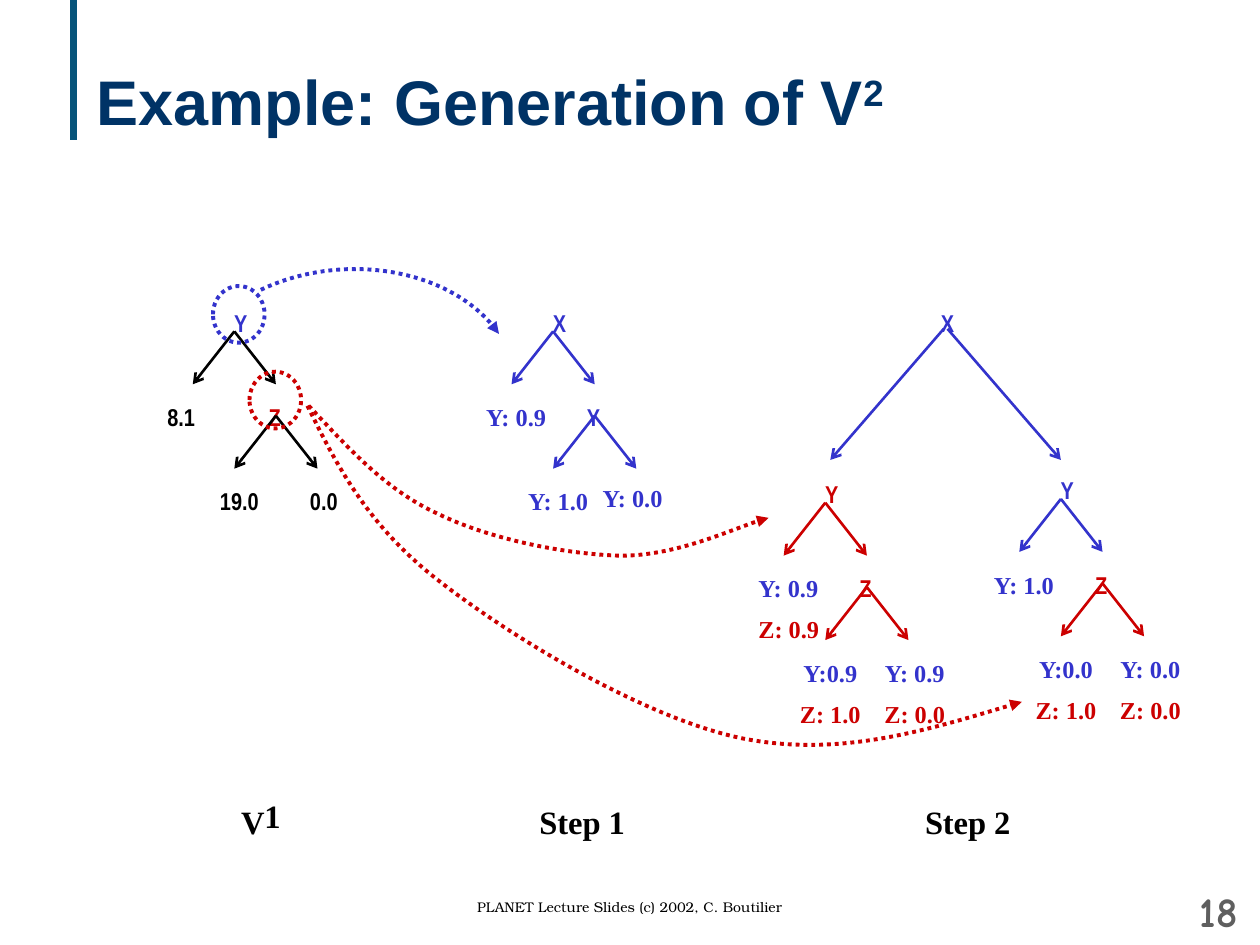
from pptx import Presentation
from pptx.dml.color import RGBColor
from pptx.enum.dml import MSO_LINE
from pptx.enum.shapes import MSO_CONNECTOR, MSO_SHAPE
from pptx.enum.text import MSO_ANCHOR, MSO_AUTO_SIZE, PP_ALIGN
from pptx.oxml.ns import qn
from pptx.util import Inches, Pt
from lxml.etree import SubElement

COLORS = {"bar": "07547A", "title": "003366", "blue": "3333CC", "red": "CC0000",
          "black": "000000", "gray": "5F5F5F"}
NARROW, SERIF = "Arial Narrow", "Times New Roman"
SPREAD, DROP = 0.33, 0.42       # half width and height of a small fork
CHILD_X, CHILD_Y = 0.33, 0.67   # from the root of a small tree to its inner node


def color(name):
    return RGBColor.from_string(COLORS[name])


def add_text(page, box, lines, size=24, font=NARROW, align=PP_ALIGN.CENTER,
             bold=True, anchor=MSO_ANCHOR.TOP, wrap=False):
    """Each line is a list of (text, colour, baseline percent) spans."""
    shape = page.shapes.add_textbox(*map(Inches, box))
    frame = shape.text_frame
    frame.word_wrap = wrap
    frame.auto_size = MSO_AUTO_SIZE.NONE if wrap else MSO_AUTO_SIZE.SHAPE_TO_FIT_TEXT
    frame.vertical_anchor = anchor
    for index, spans in enumerate(lines):
        para = frame.add_paragraph() if index else frame.paragraphs[0]
        para.alignment = align
        if index:
            para.line_spacing = 0.8
        for text, tint, baseline in spans:
            span = para.add_run()
            span.text = text
            span.font.name, span.font.size, span.font.bold = font, Pt(size), bold
            span.font.color.rgb = color(tint)
            if baseline:
                span.font._element.set("baseline", str(baseline * 1000))


def style_line(shape, tint, width, head=None, dotted=False):
    shape.line.color.rgb = color(tint)
    shape.line.width = Pt(width)
    if dotted:
        shape.line.dash_style = MSO_LINE.ROUND_DOT
    if head:
        SubElement(shape.line._get_or_add_ln(), qn("a:tailEnd"), type=head)


def add_line(page, start, end, tint, width=1.5, head="arrow"):
    line = page.shapes.add_connector(MSO_CONNECTOR.STRAIGHT, *map(Inches, (*start, *end)))
    style_line(line, tint, width, head)
    SubElement(line._element.spPr, qn("a:effectLst"))


def add_curve(page, points, tint):
    """Dotted Bezier arrow: a start point, then three points for each segment."""
    points = [(Inches(x), Inches(y)) for x, y in points]
    builder = page.shapes.build_freeform(*points[0])
    builder.add_line_segments(points[1:], close=False)
    shape = builder.convert_to_shape()
    shape.shadow.inherit = False
    shape.fill.background()
    style_line(shape, tint, 2.25, "triangle", dotted=True)
    # Join every three straight steps into one cubic segment
    steps = list(shape._element.iter(qn("a:lnTo")))
    for first in range(0, len(steps), 3):
        cubic = SubElement(steps[first].getparent(), qn("a:cubicBezTo"))
        for step in steps[first:first + 3]:
            cubic.append(step[0])
            step.getparent().remove(step)


def add_ring(page, left, top, tint):
    ring = page.shapes.add_shape(MSO_SHAPE.OVAL, *map(Inches, (left, top, 0.41, 0.45)))
    ring.shadow.inherit = False
    ring.fill.background()
    style_line(ring, tint, 2.25, dotted=True)


def add_node(page, center, top, name, tint):
    add_text(page, (center - 0.15, top, 0.3, 0.5), [[(name, tint, 14)]])


def add_leaf(page, center, top, lines, width, font, align=PP_ALIGN.CENTER):
    height = 0.5 if len(lines) == 1 else 0.82
    spans = [[(text, tint, 14)] for text, tint in lines]
    add_text(page, (center - width / 2, top, width, height), spans, font=font, align=align)


def add_fork(page, x, y, tint):
    for side in (-SPREAD, SPREAD):
        add_line(page, (x, y), (x + side, y + DROP), tint)


def add_tree(page, x, y, root, child, forks, leaves, widths=(0.69,) * 3, font=SERIF,
             last=(0.71, 1.09)):
    """Small tree with its root fork at (x, y); leaves are outer, inner left, inner right."""
    add_node(page, x + 0.05, y - 0.33, *root)
    add_node(page, x + 0.32, y + DROP, *child)
    add_fork(page, x, y, forks[0])
    add_fork(page, x + CHILD_X, y + CHILD_Y, forks[1])
    outer, left, right = leaves
    add_leaf(page, x - 0.63 + widths[0] / 2, y + DROP, outer, widths[0], font, PP_ALIGN.LEFT)
    add_leaf(page, x + 0.04, y + 1.09, left, widths[1], font)
    add_leaf(page, x + last[0], y + last[1], right, widths[2], font)


def add_heading(page):
    add_line(page, (0.58, 0), (0.58, 1.11), "bar", 4, None)
    add_text(page, (0.67, 0.17, 8.92, 1.25),
             [[("Example: Generation of V", "title", 0), ("2", "title", 30)]], size=36,
             font="Arial", align=PP_ALIGN.LEFT, anchor=MSO_ANCHOR.MIDDLE, wrap=True)


def add_first_value(page, x, y):
    add_tree(page, x, y, ("Y", "blue"), ("Z", "red"), ("black", "black"),
             [[(value, "black")] for value in ("8.1", "19.0", "0.0")],
             widths=(0.42, 0.51, 0.42), font=NARROW)
    add_ring(page, x - 0.17, y - 0.36, "blue")
    add_ring(page, x + 0.12, y + 0.32, "red")


def add_step_one(page, x, y):
    add_tree(page, x, y, ("X", "blue"), ("Y", "blue"), ("blue", "blue"),
             [[(value, "blue")] for value in ("Y: 0.9", "Y: 1.0", "Y: 0.0")],
             last=(0.63, 1.06))


def add_step_two(page, x, y):
    add_node(page, x, y - 0.31, "X", "blue")
    for start, end in ((-0.03, -0.93), (0, 0.9)):
        add_line(page, (x + start, y), (x + end, y + 1.04), "blue")
    add_tree(page, x - 0.97, y + 1.38, ("Y", "red"), ("Z", "red"), ("red", "red"),
             [[("Y: 0.9", "blue"), ("Z: 0.9", "red")],
              [("Y:0.9", "blue"), ("Z: 1.0", "red")],
              [("Y: 0.9", "blue"), ("Z: 0.0", "red")]])
    add_tree(page, x + 0.9, y + 1.35, ("Y", "blue"), ("Z", "red"), ("blue", "red"),
             [[("Y: 1.0", "blue")],
              [("Y:0.0", "blue"), ("Z: 1.0", "red")],
              [("Y: 0.0", "blue"), ("Z: 0.0", "red")]])


def add_links(page):
    add_curve(page, [(2.07, 2.3), (2.7, 2.0), (3.6, 2.13), (3.96, 2.65)], "blue")
    add_curve(page, [(2.45, 3.22), (2.76, 3.55), (3.06, 3.89), (3.48, 4.08), (3.89, 4.28),
                     (4.49, 4.4), (4.93, 4.41), (5.36, 4.41), (5.9, 4.16), (6.1, 4.11)], "red")
    add_curve(page, [(2.44, 3.22), (2.68, 3.71), (2.93, 4.19), (3.51, 4.63), (4.08, 5.07),
                     (5.12, 5.7), (5.89, 5.86), (6.65, 6.01), (7.38, 5.79), (8.11, 5.57)], "red")


def add_captions(page, top):
    captions = [(2.07, 0.7, [("V", "black", 14), ("1", "black", 24)]),
                (4.62, 0.88, [("Step 1", "black", 14)]),
                (7.68, 0.88, [("Step 2", "black", 14)])]
    for center, width, spans in captions:
        add_text(page, (center - width / 2, top, width, 0.64), [spans], size=32, font=SERIF)


def add_footer(page):
    add_text(page, (2.75, 7.08, 4.5, 0.25),
             [[("PLANET Lecture Slides (c) 2002, C. Boutilier", "black", 0)]],
             size=8, font="TeX Gyre Bonum", bold=False, wrap=True)
    add_text(page, (9.2, 7.03, 0.72, 0.4), [[("18", "gray", 0)]], font="Comic Neue",
             align=PP_ALIGN.RIGHT, anchor=MSO_ANCHOR.MIDDLE, wrap=True)


def main():
    deck = Presentation()
    deck.slide_width, deck.slide_height = Inches(10), Inches(7.5)
    page = deck.slides.add_slide(deck.slide_layouts[6])
    add_heading(page)
    # Value trees, left to right
    add_first_value(page, 1.86, 2.63)
    add_step_one(page, 4.39, 2.63)
    add_step_two(page, 7.52, 2.61)
    # Dotted arrows from each variable to where it is expanded
    add_links(page)
    add_captions(page, 6.19)
    add_footer(page)
    deck.save("out.pptx")


if __name__ == "__main__":
    main()
